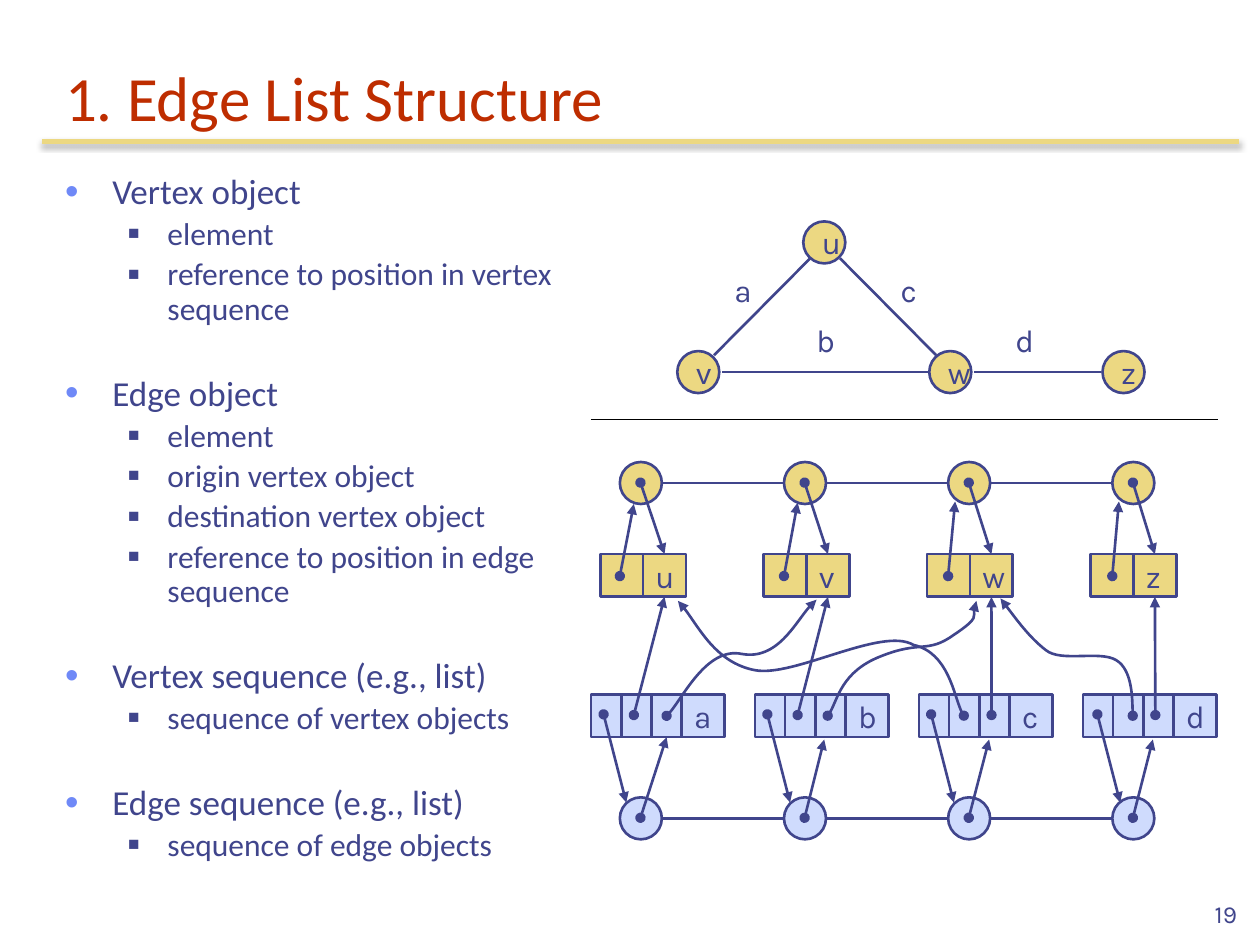
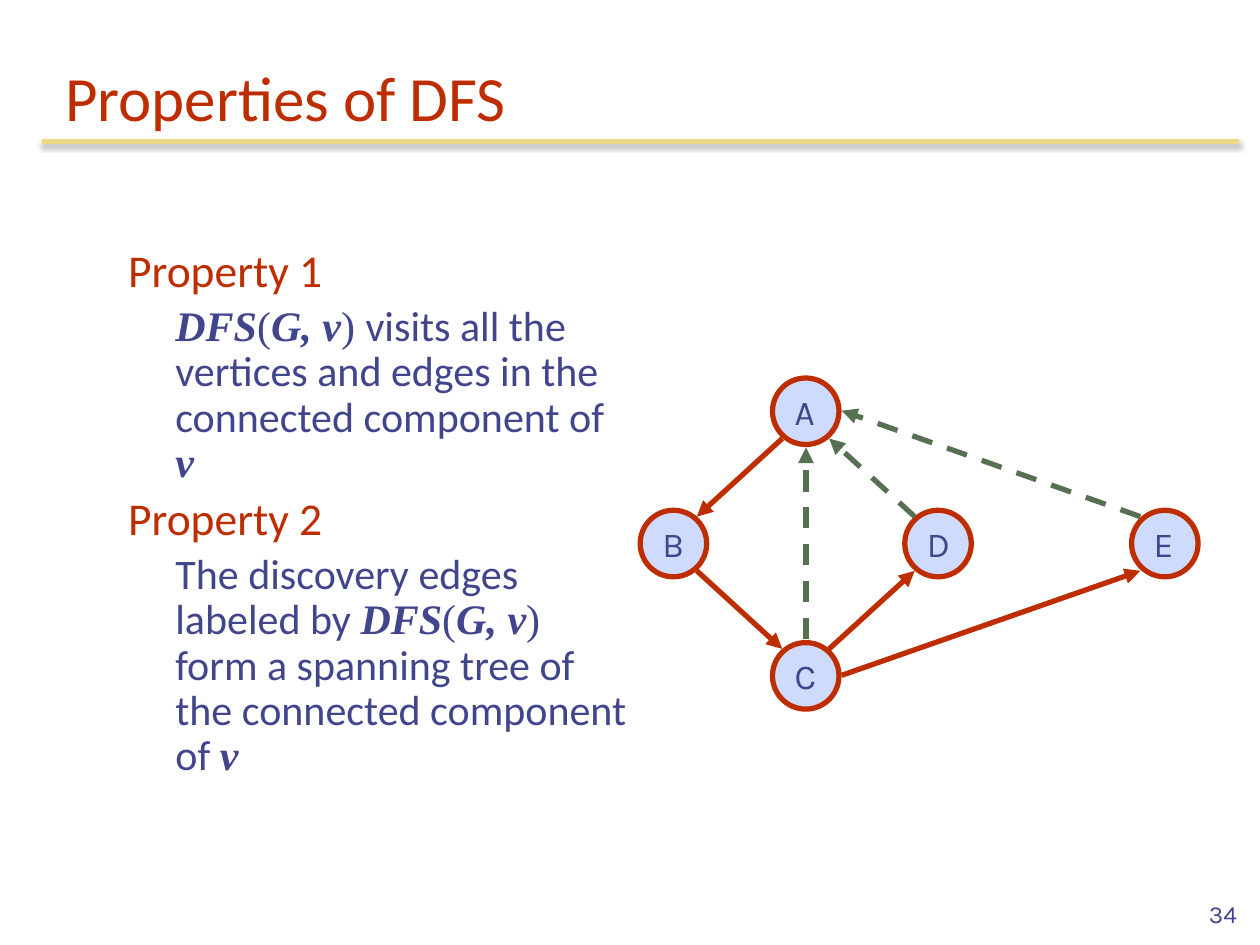
from lxml import etree
from pptx import Presentation
from pptx.dml.color import RGBColor
from pptx.enum.dml import MSO_LINE
from pptx.enum.shapes import MSO_CONNECTOR, MSO_SHAPE
from pptx.enum.text import MSO_ANCHOR, MSO_AUTO_SIZE, PP_ALIGN
from pptx.oxml.ns import qn
from pptx.util import Pt

OVAL, RECT = MSO_SHAPE.OVAL, MSO_SHAPE.RECTANGLE
STRAIGHT, DASH = MSO_CONNECTOR.STRAIGHT, MSO_LINE.DASH
MIDDLE, BOTTOM = MSO_ANCHOR.MIDDLE, MSO_ANCHOR.BOTTOM
LEFT, RIGHT = PP_ALIGN.LEFT, PP_ALIGN.RIGHT
NO_FIT, GROW = MSO_AUTO_SIZE.NONE, MSO_AUTO_SIZE.SHAPE_TO_FIT_TEXT
TOP_SIDE, BOTTOM_SIDE = 0, 2


class Theme:
    ink = RGBColor(0x40, 0x45, 0x8C)
    red = RGBColor(0xBE, 0x2D, 0x00)
    gold = RGBColor(0xEC, 0xD8, 0x82)
    pale = RGBColor(0xCF, 0xDB, 0xFD)
    green = RGBColor(0x57, 0x70, 0x52)
    black = RGBColor(0, 0, 0)
    bullet = RGBColor(0x6F, 0x89, 0xF7)
    heading_font, label_font, math_font = "Calibri", "Karla", "Times New Roman"
    title_size, property_size, statement_size = 36, 26, 24
    topic_size, detail_size = 20, 18
    label_size, state_size, number_size = 18, 20, 14
    thin, medium, thick = 0.75, 1.5, 3


def write(para, text, font=Theme.label_font, size=Theme.label_size,
          color=Theme.ink, bold=False, italic=False):
    """Add one formatted span to a paragraph."""
    span = para.add_run()
    span.text = text
    span.font.name, span.font.size = font, Pt(size)
    span.font.color.rgb = color
    span.font.bold, span.font.italic = bold, italic


def add_xml(parent, tag, **attributes):
    values = {name: str(value) for name, value in attributes.items()}
    return etree.SubElement(parent, qn(tag), values)


def place(shape, left, top, width, height):
    shape.left, shape.top = Pt(left), Pt(top)
    shape.width, shape.height = Pt(width), Pt(height)


class SlideBuilder:
    def __init__(self, deck, theme):
        self.deck, self.theme, self.page = deck, theme, None

    def start_page(self, title, number):
        theme = self.theme
        self.page = self.deck.slides.add_slide(self.deck.slide_layouts[1])
        box = self.page.shapes.title
        place(box, 30, 24, 672, 56)
        frame = box.text_frame
        frame.vertical_anchor, frame.auto_size = BOTTOM, NO_FIT
        frame.paragraphs[0].alignment = LEFT
        write(frame.paragraphs[0], title, font=theme.heading_font,
              size=theme.title_size, color=theme.red)
        self.label(str(number), 564, 498, 150, 36, size=theme.number_size,
                   align=RIGHT, anchor=BOTTOM, wrap=True, fit=NO_FIT)

    def master_rule(self):
        """Draw the shadowed title rule and move it to the slide master."""
        rule = self.line((24, 81), (708, 81), color=self.theme.gold,
                         weight=self.theme.thick).element
        effects = rule.spPr.find(qn("a:effectLst"))
        shadow = add_xml(effects, "a:outerShdw", blurRad=Pt(3.1), dist=Pt(1.8),
                         dir=5400000, algn="t", rotWithShape=0)
        color = add_xml(shadow, "a:srgbClr", val=self.theme.black)
        add_xml(color, "a:alpha", val=35000)
        self.deck.slide_master.shapes.element.append(rule)

    def body(self, left, top, width, height):
        box = self.page.placeholders[1]
        place(box, left, top, width, height)
        box.text_frame.auto_size = NO_FIT
        return box.text_frame

    def paragraph(self, frame, spans, margin, hanging=0, before=0, level=0,
                  bullet=None):
        """Add a body paragraph; bullet is (character, colour, percent)."""
        first = not frame.paragraphs[0].runs
        para = frame.paragraphs[0] if first else frame.add_paragraph()
        para.level, para.line_spacing = level, 0.9
        para.space_before = Pt(0 if first else before)
        layout = para._p.get_or_add_pPr()
        layout.set("marL", str(Pt(margin)))
        layout.set("indent", str(Pt(-hanging)))
        if bullet:
            character, color, percent = bullet
            add_xml(add_xml(layout, "a:buClr"), "a:srgbClr", val=color)
            add_xml(layout, "a:buSzPct", val=percent * 1000)
            add_xml(layout, "a:buFont", typeface="Arial")
            add_xml(layout, "a:buChar", char=character)
        else:
            add_xml(layout, "a:buNone")
        for text, style in spans:
            write(para, text, **style)

    def label(self, text, left, top, width, height, size=Theme.label_size,
              align=LEFT, anchor=None, wrap=False, fit=GROW):
        box = self.page.shapes.add_textbox(Pt(left), Pt(top), Pt(width), Pt(height))
        frame = box.text_frame
        frame.word_wrap, frame.auto_size = wrap, fit
        frame.vertical_anchor = anchor
        frame.paragraphs[0].alignment = align
        write(frame.paragraphs[0], text, size=size)

    def node(self, kind, left, top, width, height, fill, text="",
             outline=Theme.ink, weight=Theme.medium, size=Theme.label_size):
        shape = self.page.shapes.add_shape(kind, Pt(left), Pt(top), Pt(width), Pt(height))
        shape.shadow.inherit = False
        shape.fill.solid()
        shape.fill.fore_color.rgb = fill
        shape.line.color.rgb, shape.line.width = outline, Pt(weight)
        if text:
            frame = shape.text_frame
            frame.word_wrap, frame.vertical_anchor = False, MIDDLE
            frame.paragraphs[0].alignment = LEFT
            write(frame.paragraphs[0], text, size=size)
        return shape

    def stroke(self, shape, color, weight, head=None, tail=None, dash=None):
        shape.line.color.rgb, shape.line.width = color, Pt(weight)
        if dash:
            shape.line.dash_style = dash
        outline = shape.element.spPr.find(qn("a:ln"))
        for tag, end in (("a:headEnd", head), ("a:tailEnd", tail)):
            if end:
                add_xml(outline, tag, type=end)

    def line(self, start, end, color=Theme.ink, weight=Theme.medium, **ends):
        """Draw from start to end; end is a point or a (box, side) joint."""
        joined = not isinstance(end[0], (int, float))
        stop = start if joined else end
        connector = self.page.shapes.add_connector(
            STRAIGHT, *(Pt(value) for value in (*start, *stop)))
        if joined:
            connector.end_connect(*end)
        self.stroke(connector, color, weight, **ends)
        add_xml(connector.element.spPr, "a:effectLst")
        return connector

    def pointer(self, start, end):
        self.line(start, end, head="oval", tail="triangle")

    def curved_pointer(self, start, *points):
        """Draw cubic curves; each takes two controls and an end point."""
        builder = self.page.shapes.build_freeform(Pt(start[0]), Pt(start[1]))
        builder.add_line_segments([(Pt(x), Pt(y)) for x, y in points], close=False)
        shape = builder.convert_to_shape()
        segments = list(shape.element.iter(qn("a:lnTo")))
        for index in range(0, len(segments), 3):
            first, *others = segments[index:index + 3]
            first.tag = qn("a:cubicBezTo")
            for other in others:
                first.append(other[0])
                other.getparent().remove(other)
        shape.fill.background()
        shape.shadow.inherit = False
        self.stroke(shape, self.theme.ink, self.theme.medium, "oval", "triangle")


def edge_list_page(builder):
    theme = builder.theme
    builder.start_page("1. Edge List Structure", 19)
    builder.master_rule()

    # Object and sequence outline
    outline = {
        "Vertex object": ["element", "reference to position in vertex sequence"],
        "Edge object": ["element", "origin vertex object", "destination vertex object",
                        "reference to position in edge sequence"],
        "Vertex sequence (e.g., list)": ["sequence of vertex objects"],
        "Edge sequence (e.g., list)": ["sequence of edge objects"],
    }
    frame = builder.body(30, 96, 318, 415)
    topic_style = dict(font=theme.heading_font, size=theme.topic_size)
    detail_style = dict(font=theme.heading_font, size=theme.detail_size)
    for topic, details in outline.items():
        builder.paragraph(frame, [(topic, topic_style)], 27, 27, before=28,
                          bullet=("•", theme.bullet, 110))
        for detail in details:
            builder.paragraph(frame, [(detail, detail_style)], 58.5, 22.5, before=3.6,
                              level=1, bullet=("■", theme.ink, 60))

    # Graph
    for start, end in [((480, 147.6), (535, 203)), ((463, 147.6), (408, 203)),
                       ((530.6, 212.5), (412.6, 212.5)), ((629.3, 212.5), (556.6, 212.5))]:
        builder.line(start, end)
    for name, left, top in [("v", 387, 200.6), ("u", 459, 126.5),
                            ("w", 531, 200.6), ("z", 630, 200.6)]:
        builder.node(OVAL, left, top, 24, 24, theme.gold, name)
    for name, left, top in [("a", 412.6, 151.2), ("c", 507.6, 151.2),
                            ("b", 459.4, 180), ("d", 573.1, 180)]:
        builder.label(name, left, top, 24, 28.8)
    builder.line((337.7, 239.8), (696.2, 239.8), color=theme.black, weight=theme.thin)

    # Sequence chains
    for top, fill in [(264, theme.gold), (455.6, theme.pale)]:
        builder.line((635, top + 12), (378.7, top + 12))
        for column in range(4):
            builder.node(OVAL, 354.2 + 93.8 * column, top, 24, 24, fill)

    # Vertex and edge records
    side, slot = 24.5, 17.3
    vertex_boxes, last_slots = [], []
    for column, (vertex, edge) in enumerate(zip("uvwz", "abcd")):
        left = 343 + 93.4 * column
        builder.node(RECT, left, 316.6, side, side, theme.gold)
        vertex_boxes.append(builder.node(RECT, left + side, 316.6, side, side,
                                         theme.gold, vertex))
        left = 337.7 + 93.7 * column
        for index in range(3):
            cell = builder.node(RECT, left + slot * index, 396.7, slot, side, theme.pale)
        last_slots.append(cell)
        builder.node(RECT, left + 3 * slot, 396.7, side, side, theme.pale, edge)

    # Pointers between records and sequences
    edge_ends = [(last_slots[0], BOTTOM_SIDE), (471, 422.6), (565.2, 422.6), (658.8, 422.6)]
    back_ends = [(362.2, 288), (455.8, 287.3), (545.8, 286.6), (639.4, 286.6)]
    slot_starts = [344.9, 438.5, 532.1, 627.1]
    for column, box in enumerate(vertex_boxes):
        center = 366 + 93.8 * column
        builder.pointer((center, 275.8), (box, TOP_SIDE))
        builder.pointer((center - 11.8, 329.2), back_ends[column])
        builder.pointer((center, 467.3), edge_ends[column])
        start = slot_starts[column]
        builder.pointer((start, 408.2), (start + 13, 458.6))

    # Pointers from edges to their end vertices
    for start, box in zip([362.2, 455.8, 566.6, 660.2], vertex_boxes):
        builder.pointer((start, 408.6), (box, BOTTOM_SIDE))
    builder.curved_pointer((380.9, 409), (388, 403.2), (404, 369.4), (424, 373.7),
                           (444.2, 377.3), (458, 349.2), (466.6, 342.7))
    builder.curved_pointer((473, 409), (478, 403.2), (481, 383.8), (503.3, 375.1),
                           (526.3, 365.8), (530, 373.7), (545, 362.9),
                           (560.2, 352.8), (555.1, 347.8), (558, 343.4))
    builder.curved_pointer((550.8, 409), (545.8, 402.5), (542.2, 373), (522, 368.6),
                           (504, 357.8), (453.6, 387.4), (431.3, 383),
                           (409, 378.7), (396, 352.1), (387.4, 343.4))
    builder.curved_pointer((647.3, 409), (647.3, 409), (647.3, 383), (637.9, 377.3),
                           (628.6, 371.5), (606.2, 378.7), (597.6, 371.5),
                           (588.2, 364.3), (576.7, 348.5), (571.7, 342))


def dfs_page(builder):
    theme = builder.theme
    builder.start_page("Properties of DFS", 34)

    # Properties
    plain = dict(font=theme.heading_font, size=theme.statement_size)
    upright = dict(font=theme.math_font, size=theme.statement_size)
    symbol = dict(upright, bold=True, italic=True)
    heading = dict(font=theme.heading_font, size=theme.property_size, color=theme.red)
    call = [("DFS", symbol), ("(", upright), ("G, v", symbol), (") ", upright)]
    statements = {
        "Property 1": [*call, ("visits all the vertices and edges in the "
                               "connected component of ", plain), ("v", symbol)],
        "Property 2": [("The discovery edges labeled by ", plain), *call,
                       ("form a spanning tree of the connected component of ", plain),
                       ("v", symbol)],
    }
    frame = builder.body(66, 138, 300, 324)
    for name, spans in statements.items():
        builder.paragraph(frame, [(name, heading)], 27, 27, before=5.2)
        builder.paragraph(frame, spans, 27, before=4.8)

    # Vertices
    for name, left, top in [("D", 517, 291.6), ("B", 365.8, 291.6), ("A", 441.4, 216),
                            ("C", 441.4, 367.2), ("E", 646.6, 291.6)]:
        builder.node(OVAL, left, top, 38, 38, theme.pale, name, outline=theme.red,
                     weight=theme.thick, size=theme.state_size)

    # Discovery edges, then back edges
    for start, end in [((447, 250.6), (398.2, 295.2)), ((398.2, 326.2), (447, 370.8)),
                       ((473.8, 370.8), (522.7, 326.2)), ((481, 385.9), (651.6, 326.2))]:
        builder.line(start, end, color=theme.red, weight=theme.thick, tail="triangle")
    for start, end in [((522.7, 295.2), (473.8, 250.6)), ((460.6, 365), (460.6, 255.6)),
                       ((651.6, 295.2), (481, 234.7))]:
        builder.line(start, end, color=theme.green, weight=theme.thick,
                     tail="triangle", dash=DASH)


def main():
    deck = Presentation()
    deck.slide_width, deck.slide_height = Pt(720), Pt(540)
    builder = SlideBuilder(deck, Theme)
    edge_list_page(builder)
    dfs_page(builder)
    deck.save("out.pptx")


if __name__ == "__main__":
    main()
